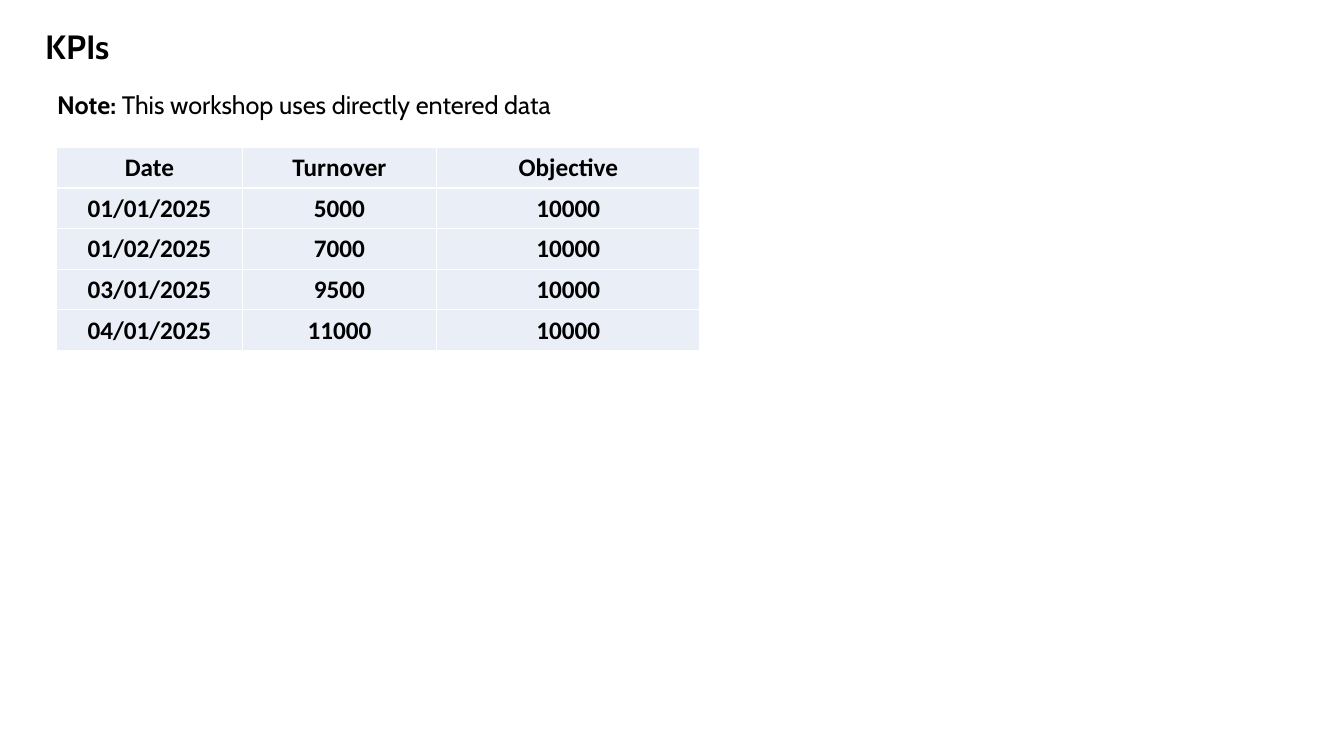
from dataclasses import dataclass

from lxml.etree import SubElement
from pptx import Presentation
from pptx.dml.color import RGBColor
from pptx.enum.text import MSO_ANCHOR, MSO_AUTO_SIZE, PP_ALIGN
from pptx.oxml.ns import qn
from pptx.slide import Slide
from pptx.table import _Cell as Cell
from pptx.util import Pt

BLACK = RGBColor(0x00, 0x00, 0x00)
WHITE = RGBColor(0xFF, 0xFF, 0xFF)
CELL_BLUE = RGBColor(0xEA, 0xEF, 0xF7)

KPI_ROWS = [
    ("Date", "Turnover", "Objective"),
    ("01/01/2025", "5000", "10000"),
    ("01/02/2025", "7000", "10000"),
    ("03/01/2025", "9500", "10000"),
    ("04/01/2025", "11000", "10000"),
]
COLUMN_WIDTHS = (132.5, 139, 188)
ROW_HEIGHT = 28.95


@dataclass
class TextBox:
    left: float
    top: float
    width: float
    height: float
    runs: list[tuple[str, bool]]
    size: float
    wrap: bool


TEXT_BOXES = [
    TextBox(25.2, 15.1, 95.8, 36, [("KPIs", True)], size=24, wrap=False),
    TextBox(33.8, 60.5, 724.3, 29,
            [("Note: ", True), ("This workshop uses directly entered data", False)],
            size=18, wrap=True),
]


def add_run(p, text: str, *, size: float = 18, font: str = "Cabin",
            bold: bool = False, color: RGBColor = BLACK) -> None:
    r = p.add_run()
    r.text = text
    r.font.name = font
    r.font.size = Pt(size)
    r.font.bold = bold
    r.font.color.rgb = color


def add_text_box(s: Slide, box: TextBox) -> None:
    sp = s.shapes.add_textbox(Pt(box.left), Pt(box.top), Pt(box.width), Pt(box.height))
    tf = sp.text_frame
    tf.word_wrap = box.wrap
    tf.auto_size = MSO_AUTO_SIZE.SHAPE_TO_FIT_TEXT
    for text, bold in box.runs:
        add_run(tf.paragraphs[0], text, size=box.size, bold=bold)


def add_borders(cell: Cell, color: RGBColor, width: float) -> None:
    tc_pr = cell._tc.get_or_add_tcPr()
    for side in ("lnL", "lnR", "lnT", "lnB"):
        ln = SubElement(tc_pr, qn(f"a:{side}"), w=str(Pt(width)))
        fill = SubElement(ln, qn("a:solidFill"))
        SubElement(fill, qn("a:srgbClr"), val=str(color))


def format_cell(cell: Cell, text: str) -> None:
    cell.margin_left = cell.margin_right = cell.margin_top = Pt(0.75)
    cell.margin_bottom = Pt(0)
    cell.vertical_anchor = MSO_ANCHOR.MIDDLE
    add_borders(cell, WHITE, 1)
    cell.fill.solid()
    cell.fill.fore_color.rgb = CELL_BLUE
    p = cell.text_frame.paragraphs[0]
    p.alignment = PP_ALIGN.CENTER
    add_run(p, text, font="Calibri", bold=True)


def add_kpi_table(s: Slide, left: float, top: float) -> None:
    table = s.shapes.add_table(
        len(KPI_ROWS), len(COLUMN_WIDTHS), Pt(left), Pt(top),
        Pt(sum(COLUMN_WIDTHS)), Pt(ROW_HEIGHT * len(KPI_ROWS))).table
    table.first_row = False
    table.horz_banding = False
    for column, width in zip(table.columns, COLUMN_WIDTHS):
        column.width = Pt(width)
    for row, values in zip(table.rows, KPI_ROWS):
        row.height = Pt(ROW_HEIGHT)
        for cell, value in zip(row.cells, values):
            format_cell(cell, value)


def main() -> None:
    prs = Presentation()
    prs.slide_width, prs.slide_height = Pt(960), Pt(540)
    s = prs.slides.add_slide(prs.slide_layouts[6])
    for box in TEXT_BOXES:
        add_text_box(s, box)
    add_kpi_table(s, 40.5, 105.4)
    prs.save("out.pptx")


if __name__ == "__main__":
    main()
